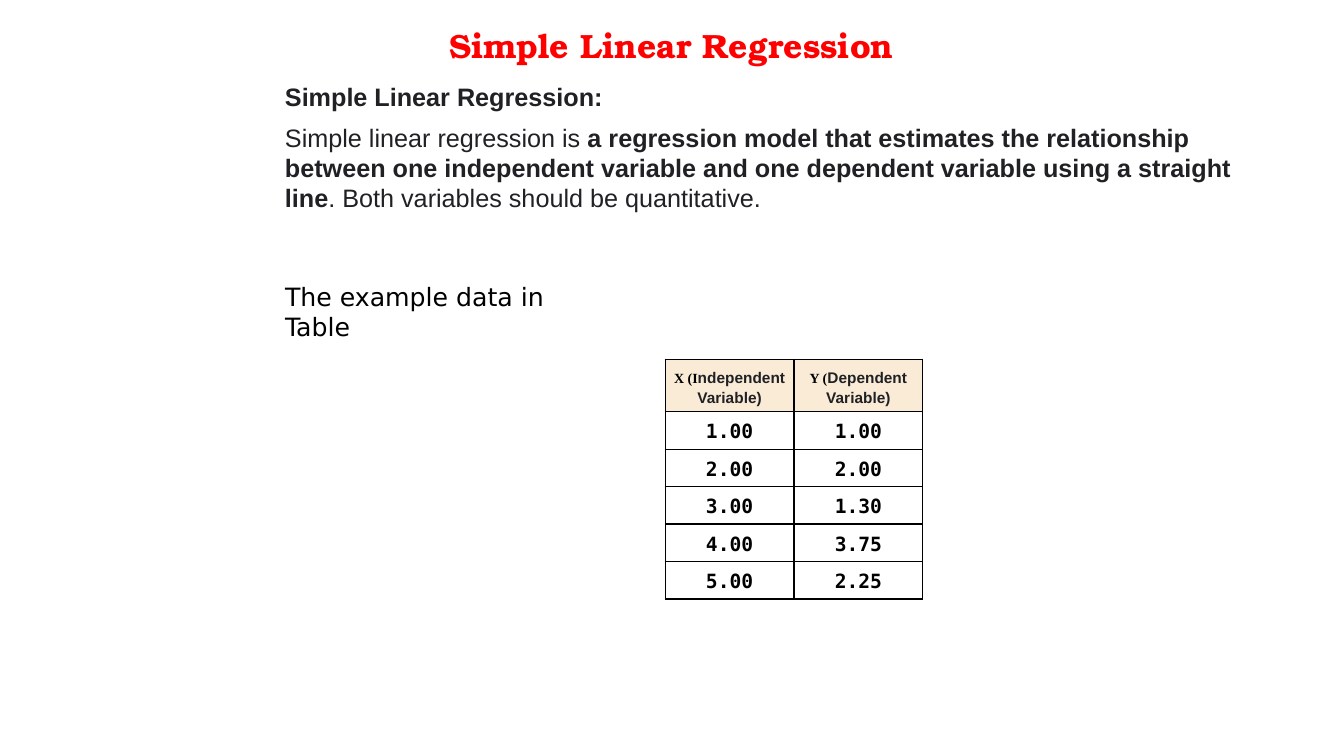
from dataclasses import dataclass

from lxml.etree import SubElement
from pptx import Presentation
from pptx.dml.color import RGBColor as Color
from pptx.enum.text import MSO_ANCHOR as Anchor, MSO_AUTO_SIZE as AutoSize, PP_ALIGN as Align
from pptx.oxml.ns import qn
from pptx.util import Pt


@dataclass(frozen=True)
class Style:
    font: str
    size: float
    color: str
    bold: bool = False


class Theme:
    title = Style("TeX Gyre Bonum", 24, "FF0000", True)
    body = Style("Arial", 18, "202124")
    strong = Style("Arial", 18, "202124", True)
    caption = Style("DejaVu Sans", 18, "000000")
    symbol = Style("Times New Roman", 10, "000000", True)
    header = Style("Arial", 11, "202124", True)
    number = Style("DejaVu Sans Mono", 14, "000000", True)
    header_fill = "FAEBD7"
    cell_fill = "FFFFFF"
    border = "000000"
    line_spacing = 1.15


HEADERS = [
    [("X (I", Theme.symbol), ("ndependent Variable)", Theme.header)],
    [("Y (", Theme.symbol), ("Dependent Variable)", Theme.header)],
]
DATA = [(1, 1), (2, 2), (3, 1.3), (4, 3.75), (5, 2.25)]


def set_attributes(target, values):
    for name, value in values.items():
        setattr(target, name, value)


def write_runs(paragraph, runs, **paragraph_format):
    set_attributes(paragraph, paragraph_format)
    for text, style in runs:
        run = paragraph.add_run()
        run.text = text
        set_attributes(run.font, {"name": style.font, "size": Pt(style.size), "bold": style.bold})
        run.font.color.rgb = Color.from_string(style.color)


def place(shape, left, top, width, height):
    set_attributes(shape, {"left": Pt(left), "top": Pt(top), "width": Pt(width), "height": Pt(height)})


def add_title(slide, box, text):
    title = slide.shapes.title
    place(title, *box)
    set_attributes(title.text_frame, {
        "word_wrap": True, "vertical_anchor": Anchor.TOP, "auto_size": AutoSize.SHAPE_TO_FIT_TEXT})
    write_runs(title.text_frame.paragraphs[0], [(text, Theme.title)],
               alignment=Align.CENTER, line_spacing=Theme.line_spacing)


def add_text(slide, box, runs):
    frame = slide.shapes.add_textbox(*map(Pt, box)).text_frame
    set_attributes(frame, {"word_wrap": True, "auto_size": AutoSize.SHAPE_TO_FIT_TEXT})
    write_runs(frame.paragraphs[0], runs)


def add_explanation(slide, box):
    left, top, width = box
    add_text(slide, (left, top, width, 29), [("Simple Linear Regression:", Theme.strong)])
    add_text(slide, (left, top + 29, width, 72), [
        ("Simple linear regression is ", Theme.body),
        ("a regression model that estimates the relationship between one independent variable "
         "and one dependent variable using a straight line", Theme.strong),
        (". Both variables should be quantitative.", Theme.body),
    ])
    # The caption takes the left third, so it breaks before its last word
    add_text(slide, (left, top + 142.5, width / 3, 50), [("The example data in Table", Theme.caption)])


def draw_borders(cell):
    properties = cell._tc.get_or_add_tcPr()
    for side in ("a:lnL", "a:lnR", "a:lnT", "a:lnB"):
        line = SubElement(properties, qn(side), w=str(Pt(1)))
        fill = SubElement(line, qn("a:solidFill"))
        SubElement(fill, qn("a:srgbClr"), val=Theme.border)


def fill_cell(cell, runs, fill, anchor):
    draw_borders(cell)
    cell.fill.solid()
    cell.fill.fore_color.rgb = Color.from_string(fill)
    margins = {f"margin_{side}": Pt(3.6) for side in ("left", "right", "top", "bottom")}
    set_attributes(cell, {"vertical_anchor": anchor, **margins})
    write_runs(cell.text_frame.paragraphs[0], runs,
               alignment=Align.CENTER, line_spacing=Theme.line_spacing)


def add_data_table(slide, box, header_height=37.2):
    left, top, width, height = box
    rows = [HEADERS] + [[[(f"{value:.2f}", Theme.number)] for value in pair] for pair in DATA]
    table = slide.shapes.add_table(len(rows), len(HEADERS), *map(Pt, box)).table
    for column in table.columns:
        column.width = Pt(width / len(HEADERS))
    for index, row in enumerate(rows):
        is_header = index == 0
        table.rows[index].height = Pt(header_height if is_header else (height - header_height) / len(DATA))
        fill = Theme.header_fill if is_header else Theme.cell_fill
        anchor = Anchor.BOTTOM if is_header else Anchor.MIDDLE
        for cell, runs in zip(table.rows[index].cells, row):
            fill_cell(cell, runs, fill, anchor)


def main():
    presentation = Presentation()
    set_attributes(presentation, {"slide_width": Pt(960), "slide_height": Pt(540)})
    slide = presentation.slides.add_slide(presentation.slide_layouts[5])

    # Heading, explanation and example data
    add_title(slide, (245, 10, 469.5, 40.5), "Simple Linear Regression")
    add_explanation(slide, (196.5, 54.7, 700))
    add_data_table(slide, (475.2, 256.5, 184, 171))

    presentation.save("out.pptx")


if __name__ == "__main__":
    main()
